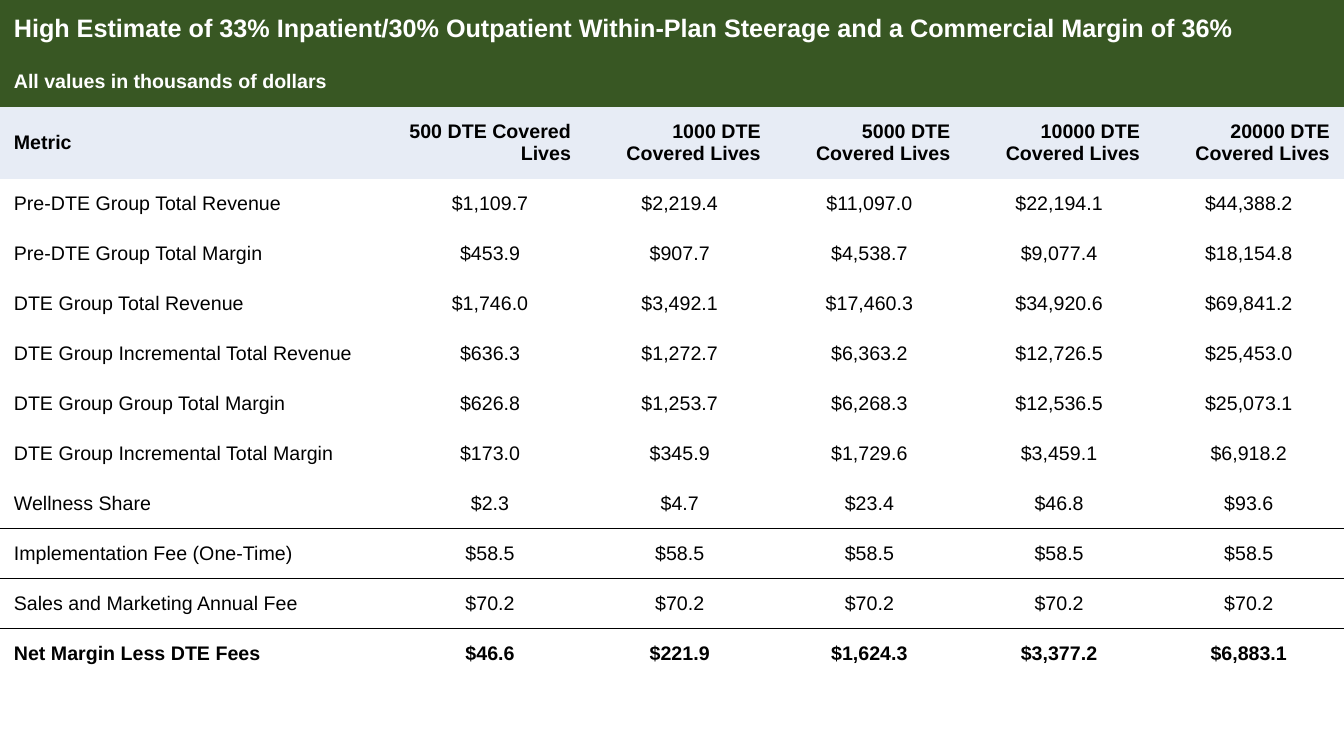
from dataclasses import dataclass

from lxml import etree
from pptx import Presentation
from pptx.dml.color import RGBColor
from pptx.enum.text import MSO_ANCHOR, PP_ALIGN
from pptx.oxml.ns import qn
from pptx.util import Cm, Pt

LEFT, CENTER, RIGHT = PP_ALIGN.LEFT, PP_ALIGN.CENTER, PP_ALIGN.RIGHT
MIDDLE = MSO_ANCHOR.MIDDLE
PLAIN_TABLE_STYLE = "{2D5ABB26-0587-4C30-8999-92F81FD0307C}"


@dataclass(frozen=True)
class Theme:
    font: str = "Arial"
    title_size: int = 18
    text_size: int = 14
    band: str = "385723"
    header: str = "E7ECF5"
    light: str = "FFFFFF"
    dark: str = "000000"


THEME = Theme()

SLIDE_WIDTH, SLIDE_HEIGHT = 33.87, 19.05
METRIC_WIDTH, VALUE_WIDTH = 9.96, 4.78
TITLE_HEIGHT, HEADER_HEIGHT, ROW_HEIGHT = 1.43, 1.81, 1.26
CELL_MARGIN = Cm(0.35)

TITLE = ("High Estimate of 33% Inpatient/30% Outpatient Within-Plan Steerage "
         "and a Commercial Margin of 36%")
SUBTITLE = "All values in thousands of dollars"
COVERED_LIVES = (500, 1000, 5000, 10000, 20000)
METRICS = [
    ("Pre-DTE Group Total Revenue", (1109.7, 2219.4, 11097.0, 22194.1, 44388.2)),
    ("Pre-DTE Group Total Margin", (453.9, 907.7, 4538.7, 9077.4, 18154.8)),
    ("DTE Group Total Revenue", (1746.0, 3492.1, 17460.3, 34920.6, 69841.2)),
    ("DTE Group Incremental Total Revenue", (636.3, 1272.7, 6363.2, 12726.5, 25453.0)),
    ("DTE Group Group Total Margin", (626.8, 1253.7, 6268.3, 12536.5, 25073.1)),
    ("DTE Group Incremental Total Margin", (173.0, 345.9, 1729.6, 3459.1, 6918.2)),
    ("Wellness Share", (2.3, 4.7, 23.4, 46.8, 93.6)),
    ("Implementation Fee (One-Time)", (58.5,) * 5),
    ("Sales and Marketing Annual Fee", (70.2,) * 5),
    ("Net Margin Less DTE Fees", (46.6, 221.9, 1624.3, 3377.2, 6883.1)),
]
RULED_METRICS = ("Wellness Share", "Sales and Marketing Annual Fee")
NET_METRIC = "Net Margin Less DTE Fees"


def fill_cell(cell, text, align=LEFT, bold=False, color=THEME.dark,
              fill=None, size=THEME.text_size):
    """Write one cell with its type, alignment and background."""
    cell.margin_left = cell.margin_right = CELL_MARGIN
    cell.margin_top = cell.margin_bottom = CELL_MARGIN
    cell.vertical_anchor = MIDDLE
    if fill:
        cell.fill.solid()
        cell.fill.fore_color.rgb = RGBColor.from_string(fill)
    else:
        cell.fill.background()
    cell.text = text
    para = cell.text_frame.paragraphs[0]
    para.alignment = align
    para.font.name = THEME.font
    para.font.size = Pt(size)
    para.font.bold = bold
    para.font.color.rgb = RGBColor.from_string(color)


def add_rule(cell, side):
    """Draw a thin line on one side of a cell: lnT or lnB."""
    line = etree.Element(qn(f"a:{side}"), w=str(Pt(1)))
    solid = etree.SubElement(line, qn("a:solidFill"))
    etree.SubElement(solid, qn("a:srgbClr"), val=THEME.dark)
    cell._tc.get_or_add_tcPr().insert(0, line)


def add_plain_table(page, row_heights, column_widths):
    """Add an unstyled table at the top left corner of the page."""
    frame = page.shapes.add_table(
        len(row_heights), len(column_widths), Cm(0), Cm(0),
        Cm(sum(column_widths)), Cm(sum(row_heights)))
    table = frame.table
    table.first_row = table.horz_banding = False
    table._tbl.tblPr.find(qn("a:tableStyleId")).text = PLAIN_TABLE_STYLE
    for row, height in zip(table.rows, row_heights):
        row.height = Cm(height)
    for column, width in zip(table.columns, column_widths):
        column.width = Cm(width)
    return table


def fill_band(table, row, text, size):
    """Write a heading that spans the full table width."""
    first = table.cell(row, 0)
    first.merge(table.cell(row, len(table.columns) - 1))
    fill_cell(first, text, bold=True, color=THEME.light, fill=THEME.band, size=size)


def fill_header(table, row):
    fill_cell(table.cell(row, 0), "Metric", bold=True, fill=THEME.header)
    for column, lives in enumerate(COVERED_LIVES, start=1):
        fill_cell(table.cell(row, column), f"{lives} DTE Covered Lives",
                  align=RIGHT, bold=True, fill=THEME.header)


def fill_metric(table, row, name, values):
    bold = name == NET_METRIC
    fill_cell(table.cell(row, 0), name, bold=bold)
    for column, value in enumerate(values, start=1):
        fill_cell(table.cell(row, column), f"${value:,.1f}", align=CENTER, bold=bold)


def rule_below(table, row):
    """Separate a row from the next one."""
    for column in range(len(table.columns)):
        add_rule(table.cell(row, column), "lnB")
        add_rule(table.cell(row + 1, column), "lnT")


def main():
    deck = Presentation()
    deck.slide_width, deck.slide_height = Cm(SLIDE_WIDTH), Cm(SLIDE_HEIGHT)
    page = deck.slides.add_slide(deck.slide_layouts[6])

    # Table grid
    row_heights = [TITLE_HEIGHT, ROW_HEIGHT, HEADER_HEIGHT] + [ROW_HEIGHT] * len(METRICS)
    column_widths = [METRIC_WIDTH] + [VALUE_WIDTH] * len(COVERED_LIVES)
    table = add_plain_table(page, row_heights, column_widths)

    # Headings
    fill_band(table, 0, TITLE, THEME.title_size)
    fill_band(table, 1, SUBTITLE, THEME.text_size)
    fill_header(table, 2)

    # Metrics and the lines between their groups
    for row, (name, values) in enumerate(METRICS, start=3):
        fill_metric(table, row, name, values)
    for row, (name, _) in enumerate(METRICS, start=3):
        if name in RULED_METRICS:
            rule_below(table, row)

    deck.save("out.pptx")


if __name__ == "__main__":
    main()
